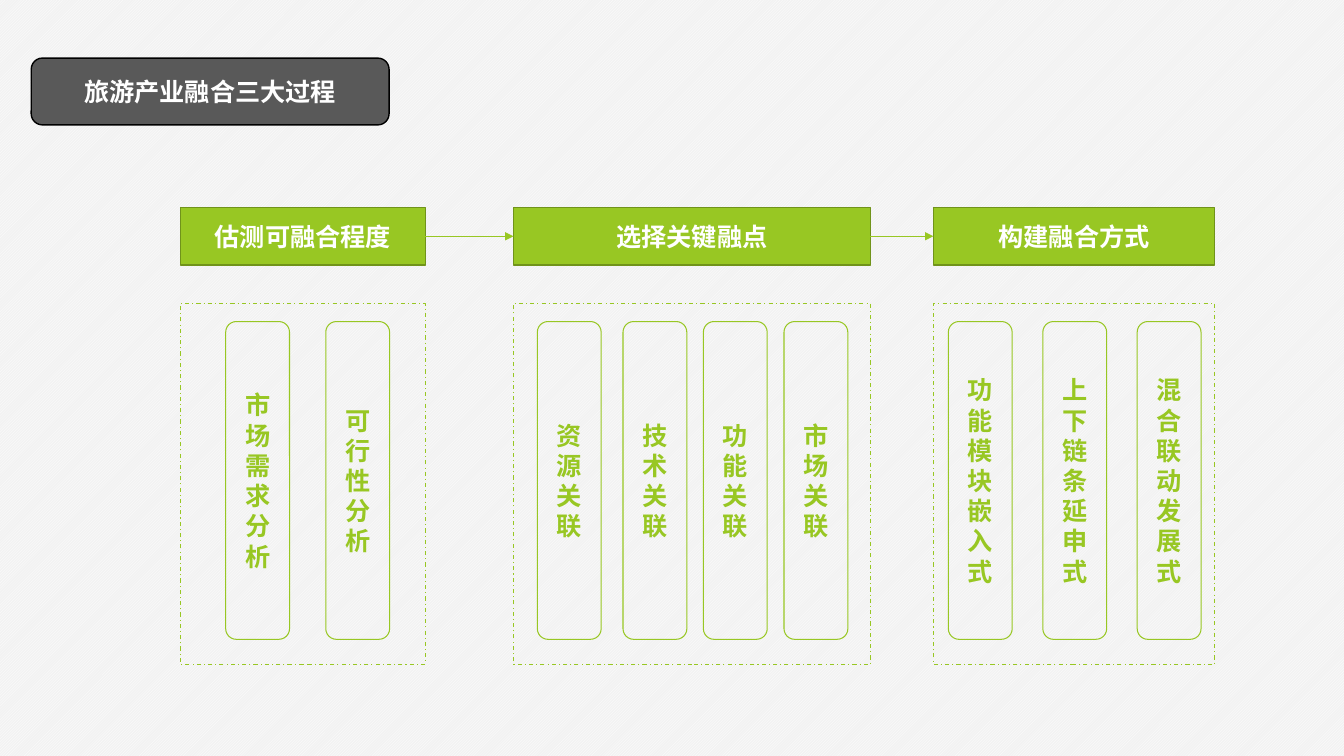
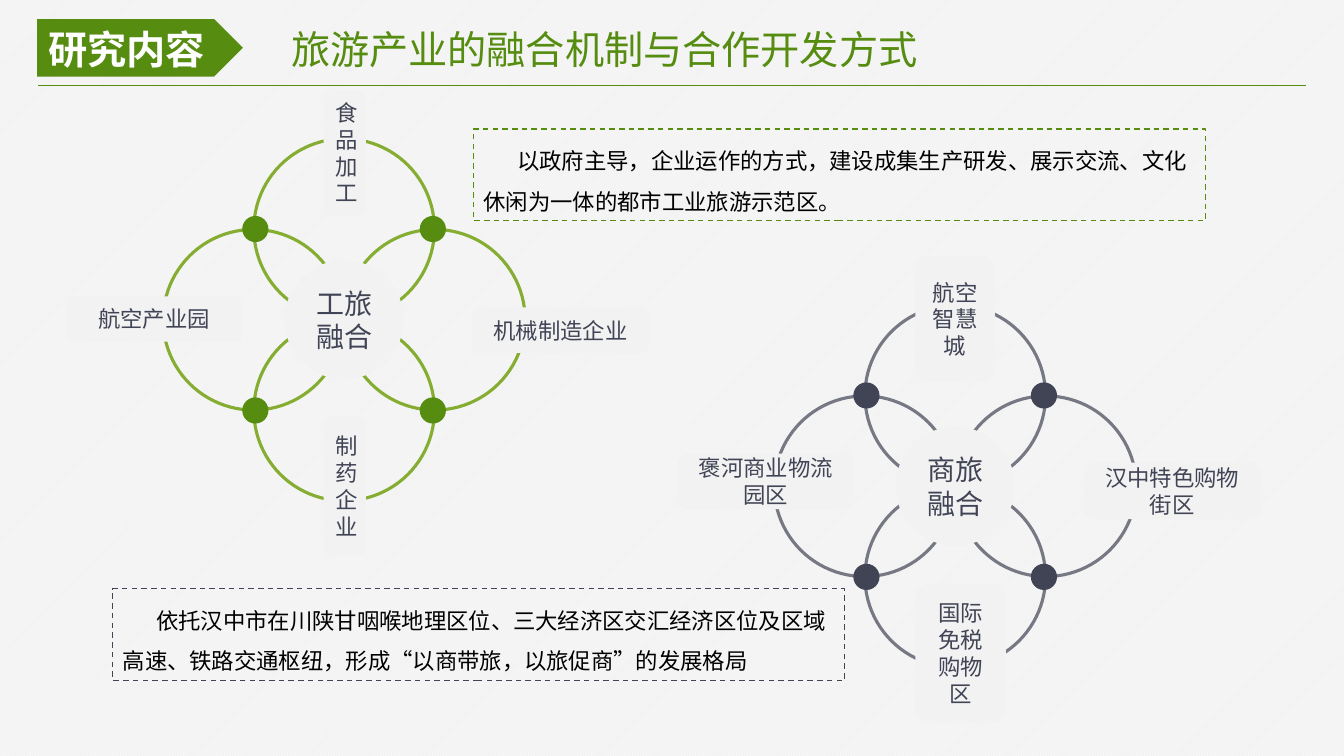
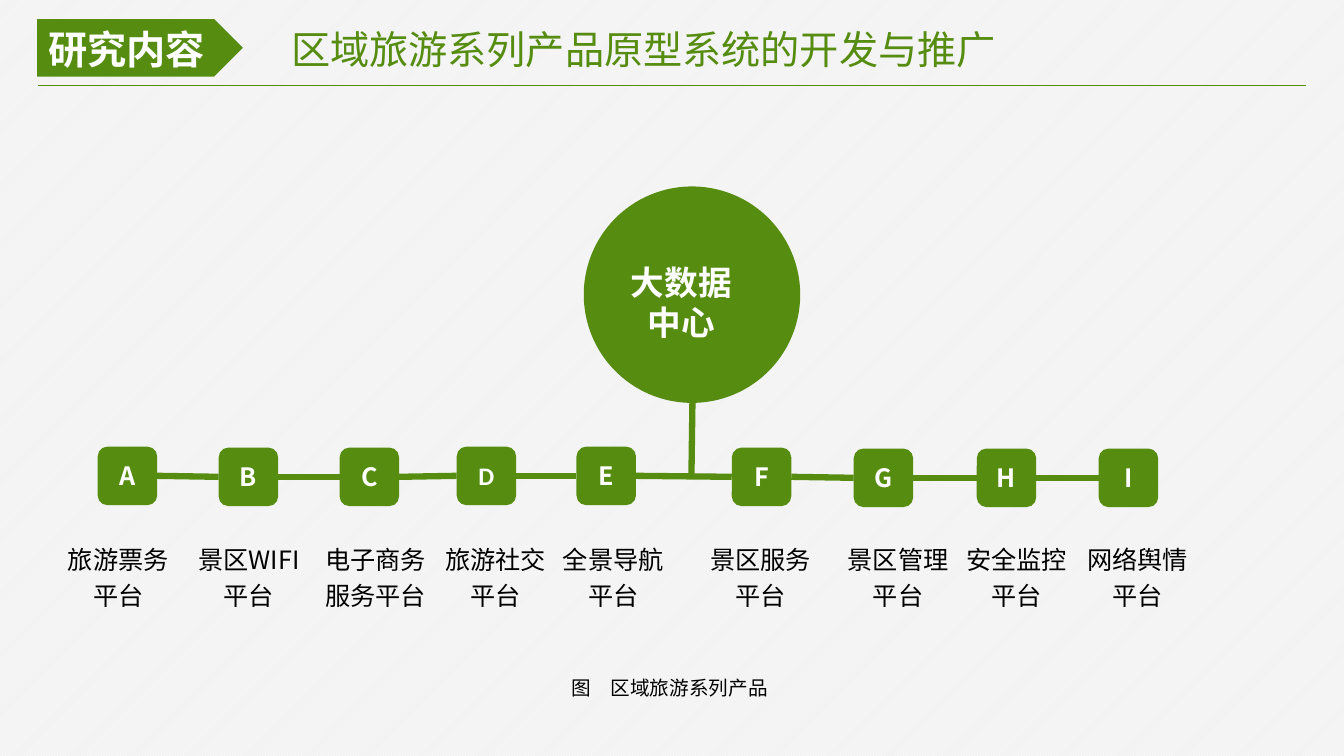
from pptx import Presentation
from pptx.dml.color import RGBColor
from pptx.enum import dml, shapes, text as text_enum
from pptx.oxml import ns, xmlchemy
from pptx.util import Pt

LIME, LIME_EDGE = "98C723", "70931A"
GREEN, RING_GREEN = "568D11", "85AD32"
SLATE, PALE, WHITE, BLACK, GREY = "414455", "F2F2F2", "FFFFFF", "000000", "595959"
SANS, LATIN = "Noto Sans CJK SC", "Calibri"

KIND = shapes.MSO_SHAPE
DASH = dml.MSO_LINE
ALIGN = text_enum.PP_ALIGN
ANCHOR = text_enum.MSO_ANCHOR
colour = RGBColor.from_string


def add_box(slide, kind, left, top, width, height, text="", fill=None, line=None,
            line_width=1, dash=None, line_alpha=None, size=18, font=SANS,
            color=BLACK, bold=False, align=ALIGN.CENTER, anchor=ANCHOR.MIDDLE,
            spacing=None, indent=None):
    """Add a preset shape, or a text box when kind is None."""
    place = Pt(left), Pt(top), Pt(width), Pt(height)
    if kind is None:
        shape = slide.shapes.add_textbox(*place)
    else:
        shape = slide.shapes.add_shape(kind, *place)
        shape.shadow.inherit = False
    if fill:
        shape.fill.solid()
        shape.fill.fore_color.rgb = colour(fill)
    else:
        shape.fill.background()
    if line:
        shape.line.color.rgb = colour(line)
        shape.line.width = Pt(line_width)
        if dash:
            shape.line.dash_style = dash
        if line_alpha:
            alpha = xmlchemy.OxmlElement("a:alpha")
            alpha.set("val", str(line_alpha * 1000))
            shape.element.xpath(".//a:ln//a:srgbClr")[0].append(alpha)
    else:
        shape.line.fill.background()
    if not text:
        return shape

    frame = shape.text_frame
    frame.word_wrap = True
    frame.vertical_anchor = anchor
    frame.text = text
    for paragraph in frame.paragraphs:
        paragraph.alignment = align
        if spacing:
            paragraph.line_spacing = spacing
        if indent:
            paragraph._p.get_or_add_pPr().set("indent", str(Pt(indent)))
        for run in paragraph.runs:
            run.font.size = Pt(size)
            run.font.bold = bold
            run.font.color.rgb = colour(color)
            run.font.name = font
            east_asian = xmlchemy.OxmlElement("a:ea")
            east_asian.set("typeface", SANS)
            run.font._element.find(ns.qn("a:latin")).addnext(east_asian)
    return shape


def add_line(slide, start, end, color, width, arrow=False):
    """Join two boxes (right side to left side), or two points."""
    joined = not isinstance(start, tuple)
    points = (0, 0, 0, 0) if joined else start + end
    connector = slide.shapes.add_connector(
        shapes.MSO_CONNECTOR.STRAIGHT, *[Pt(value) for value in points])
    if joined:
        connector.begin_connect(start, 3)
        connector.end_connect(end, 1)
    connector.line.color.rgb = colour(color)
    connector.line.width = Pt(width)
    if arrow:
        head = xmlchemy.OxmlElement("a:tailEnd")
        head.set("type", "triangle")
        connector.element.xpath(".//a:ln")[0].append(head)
    connector.element.spPr.append(xmlchemy.OxmlElement("a:effectLst"))


presentation = Presentation()
presentation.slide_width, presentation.slide_height = Pt(960), Pt(540)

# Slides with their shared background and header
slides = []
for title in (None, "旅游产业的融合机制与合作开发方式", "区域旅游系列产品原型系统的开发与推广"):
    slide = presentation.slides.add_slide(presentation.slide_layouts[6])
    slides.append(slide)
    background = slide.background.fill
    background.patterned()
    background.pattern = dml.MSO_PATTERN.LIGHT_UPWARD_DIAGONAL
    background.fore_color.rgb = colour(WHITE)
    background.back_color.rgb = colour(PALE)
    if title:
        header = dict(size=28, align=ALIGN.LEFT, anchor=ANCHOR.TOP)
        add_box(slide, None, 200.9, 14.4, 562, 41, title, color=GREEN, **header)
        add_box(slide, KIND.PENTAGON, 26.6, 13.7, 146.9, 41, fill=GREEN)
        add_box(slide, None, 27.4, 14.4, 126.7, 41, "研究内容", color=WHITE, bold=True, **header)
        add_line(slide, (27.4, 61.2), (933.1, 61.2), GREEN, 1)
process_slide, rings_slide, platform_slide = slides

# Slide 1: three process stages, each with its steps
add_box(process_slide, KIND.ROUNDED_RECTANGLE, 22.3, 41.5, 255.6, 47.7, "旅游产业融合三大过程",
        fill=GREY, line=BLACK, color=WHITE, bold=True)
stages = [
    ("估测可融合程度", 128.9, 175, [(161.2, "市场需求分析"), (232.7, "可行性分析")]),
    ("选择关键融点", 366.8, 255, [(383.8, "资源关联"), (445, "技术关联"),
                            (502.4, "功能关联"), (560, "市场关联")]),
    ("构建融合方式", 666.7, 201, [(677.4, "功能模块嵌入式"), (744.9, "上下链条延申式"),
                             (812.3, "混合联动发展式")]),
]
previous = None
for name, left, width, steps in stages:
    stage = add_box(process_slide, KIND.RECTANGLE, left, 148.3, width, 41, name, fill=LIME,
                    line=LIME_EDGE, font=LATIN, color=WHITE, bold=True)
    for step_left, step in steps:
        add_box(process_slide, KIND.ROUNDED_RECTANGLE, step_left, 229.7, 45.6, 227, step,
                line=LIME, line_width=0.75, font=LATIN, color=LIME, bold=True)
    add_box(process_slide, KIND.RECTANGLE, left, 216.7, width, 257.8,
            line=LIME, line_width=0.75, dash=DASH.DASH_DOT)
    if previous:
        add_line(process_slide, previous, stage, LIME, 0.5, arrow=True)
    previous = stage

# Slide 2: two ring clusters, each with a note
RING, DOT, HUB = 129, 18.7, 85
clusters = [
    ("工旅融合", 245.8, 228.4, RING_GREEN, None, GREEN,
     [("航空产业园", 46.8, 211.7, 126.7, 32.4), ("制药企业", 231.1, 297.4, 30.2, 99.4),
      ("机械制造企业", 337, 219.6, 126.7, 32.4), ("食品加工", 231.1, 64.1, 30.2, 90)],
     338.4, 92.2, "以政府主导，企业运作的方式，建设成集生产研发、展示交流、文化休闲为一体的都市工业旅游示范区。"),
    ("商旅融合", 682.3, 347.3, SLATE, 70, SLATE,
     [("褒河商业物流园区", 483.8, 324, 126.7, 39.6), ("国际免税购物区", 653.8, 416.9, 64.8, 99.4),
      ("汉中特色购物街区", 774, 330.5, 126.7, 40.3), ("航空智慧城", 653.8, 182.9, 56.9, 90)],
     80.6, 420.5, "依托汉中市在川陕甘咽喉地理区位、三大经济区交汇经济区位及区域高速、铁路交通枢纽，"
                  "形成“以商带旅，以旅促商”的发展格局"),
]
for name, x, y, ring_color, alpha, dot_color, labels, note_left, note_top, note in clusters:
    for dx, dy in ((1, 0), (0, -1), (0, 1), (-1, 0)):
        add_box(rings_slide, KIND.OVAL, x + 64.8 * dx - RING / 2, y + 64.8 * dy - RING / 2,
                RING, RING, line=ring_color, line_width=2.25, line_alpha=alpha)
    for dx, dy in ((-1, -1), (1, -1), (1, 1), (-1, 1)):
        add_box(rings_slide, KIND.OVAL, x + 63.4 * dx - DOT / 2, y + 64.8 * dy - DOT / 2,
                DOT, DOT, fill=dot_color)
    add_box(rings_slide, KIND.OVAL, x - HUB / 2, y - HUB / 2, HUB, HUB, name,
            fill=PALE, size=20, color=SLATE)
    for label, *place in labels:
        add_box(rings_slide, KIND.ROUNDED_RECTANGLE, *place, label,
                fill=PALE, size=16, color=SLATE)
    add_box(rings_slide, KIND.RECTANGLE, note_left, note_top, 522.7, 65.5, note,
            line=dot_color, dash=DASH.DASH, size=16, align=ALIGN.LEFT,
            anchor=ANCHOR.TOP, spacing=1.5, indent=24)

# Slide 3: data centre above a chain of platforms
add_box(platform_slide, KIND.OVAL, 417, 133.2, 154.6, 154.6, fill=GREEN)
add_box(platform_slide, None, 411.8, 183.6, 149.8, 65.5, "大数据\n中心",
        size=24, color=WHITE, bold=True, anchor=ANCHOR.TOP)
add_line(platform_slide, (493.9, 340.6), (494.6, 288), GREEN, 4.5)

platforms = [
    ("A", 69.8, 319, "旅游票务平台", 41, 87.2),
    ("B", 156.2, 319.7, "景区WIFI平台", 133.2, 89.3),
    ("C", 242.6, 319.7, "电子商务服务平台", 223.2, 90),
    ("D", 326.2, 319, "旅游社交平台", 304.6, 98.6),
    ("E", 411.8, 319, "全景导航平台", 388.8, 98.6),
    ("F", 522.7, 319.7, "景区服务平台", 493.9, 98.6),
    ("G", 609.8, 320.4, "景区管理平台", 592.2, 98.6),
    ("H", 697.7, 320.4, "安全监控平台", 676.8, 98.6),
    ("I", 784.8, 320.4, "网络舆情平台", 763.2, 98.6),
]
previous = None
for letter, left, top, label, label_left, label_width in platforms:
    badge = add_box(platform_slide, KIND.ROUNDED_RECTANGLE, left, top, 42.5, 41.8, letter,
                    fill=GREEN, color=WHITE, bold=True, font=LATIN if letter == "D" else SANS)
    add_box(platform_slide, None, label_left, 380.9, label_width, 70.6, label,
            anchor=ANCHOR.TOP, spacing=1.2)
    if previous:
        add_line(platform_slide, previous, badge, GREEN, 4.5)
    previous = badge
add_box(platform_slide, None, 312, 479.5, 332.6, 28.8, "图　区域旅游系列产品",
        size=14, anchor=ANCHOR.TOP)

presentation.save("out.pptx")
